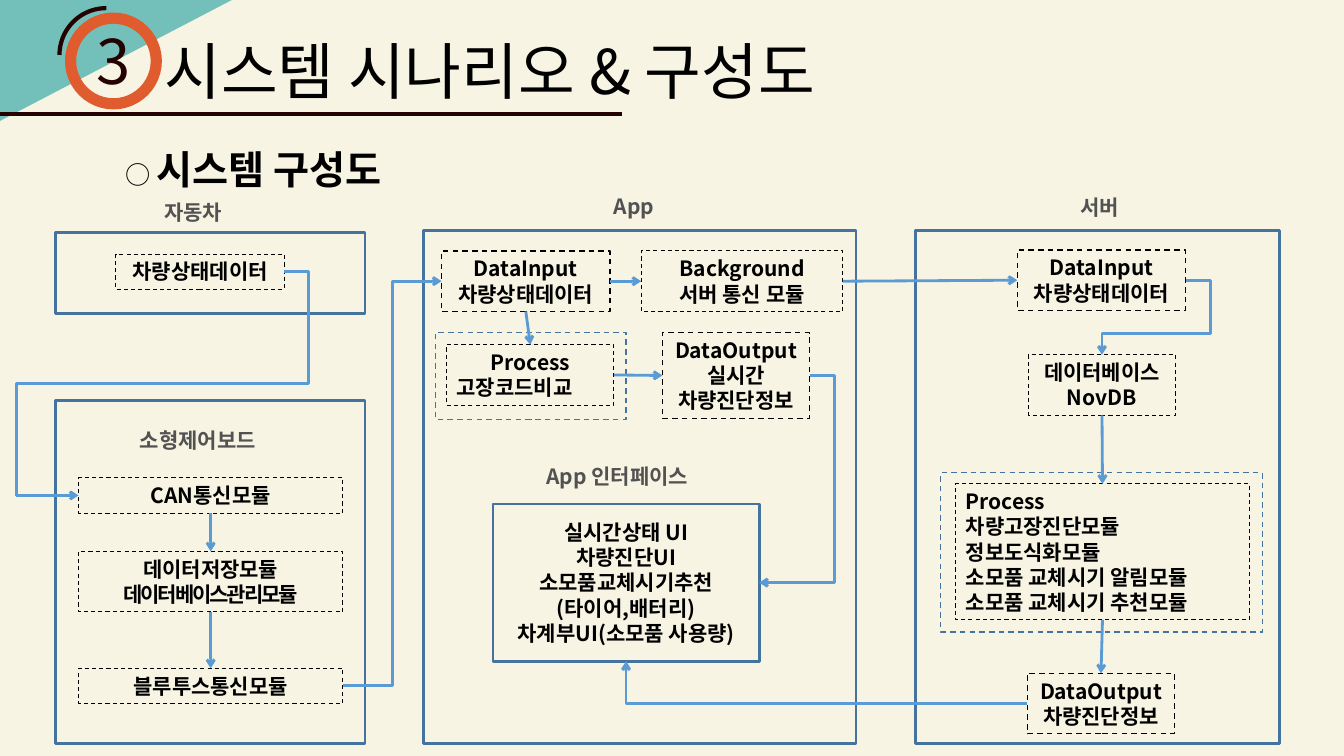
from lxml import etree
from pptx import Presentation
from pptx.dml.color import RGBColor
from pptx.enum.dml import MSO_LINE
from pptx.enum.shapes import MSO_CONNECTOR, MSO_SHAPE
from pptx.enum.text import MSO_ANCHOR, MSO_AUTO_SIZE, PP_ALIGN
from pptx.oxml.ns import qn
from pptx.util import Inches, Pt

FONT = "Noto Sans CJK KR"
COLORS = {
    "cream": "F7F4E3", "teal": "73C0BA", "orange": "E05B2E", "dark": "240202",
    "black": "000000", "gray": "525252", "frame": "43739E", "arrow": "5B9BD5",
}
TOP, LEFT, BOTTOM, RIGHT = range(4)  # connection sites of a rectangle


def color(name):
    return RGBColor.from_string(COLORS[name])


def format_span(span, size, ink, bold):
    span.font.size = Pt(size)
    span.font.bold = bold
    span.font.name = FONT
    span.font.color.rgb = color(ink)
    etree.SubElement(span.font._element, qn("a:ea"), typeface=FONT)


def write(shape, lines, size=15, ink="black", bold=True, align=PP_ALIGN.CENTER,
          anchor=MSO_ANCHOR.TOP, wrap=True):
    frame = shape.text_frame
    frame.text = "\n".join(lines)
    frame.word_wrap = wrap
    frame.auto_size = MSO_AUTO_SIZE.NONE
    frame.vertical_anchor = anchor
    for para in frame.paragraphs:
        para.alignment = align
        for span in para.runs:
            format_span(span, size, ink, bold)


def add_outline(page, kind, left, top, width, height, ink, weight):
    shape = page.shapes.add_shape(
        kind, Inches(left), Inches(top), Inches(width), Inches(height))
    shape.shadow.inherit = False
    shape.fill.background()
    shape.line.color.rgb = color(ink)
    shape.line.width = Pt(weight)
    return shape


def add_frame(page, left, top, width, height):
    return add_outline(page, MSO_SHAPE.RECTANGLE, left, top, width, height, "frame", 2)


def add_dashed_frame(page, left, top, width, height):
    frame = add_outline(page, MSO_SHAPE.RECTANGLE, left, top, width, height, "frame", 1)
    frame.line.dash_style = MSO_LINE.DASH


def add_module(page, left, top, width, *lines, weight=0.75, align=PP_ALIGN.CENTER, wrap=True):
    """Dashed box whose height follows from its number of lines."""
    height = 0.1 + 0.25 * len(lines)
    box = add_outline(page, MSO_SHAPE.RECTANGLE, left, top, width, height, "black", weight)
    box.line.dash_style = MSO_LINE.DASH
    write(box, lines, align=align, wrap=wrap)
    return box


def add_text(page, left, top, width, height, text, **style):
    box = page.shapes.add_textbox(Inches(left), Inches(top), Inches(width), Inches(height))
    write(box, [text], **style)
    return box


def add_line(page, kind, ink, weight, start=(0, 0), end=(0, 0)):
    line = page.shapes.add_connector(kind, *map(Inches, start + end))
    line.line.color.rgb = color(ink)
    line.line.width = Pt(weight)
    etree.SubElement(line._element.spPr, qn("a:effectLst"))
    return line


def link(page, source, source_site, target, target_site, bends=None, adjust=()):
    """Arrow between two boxes; bends is the number of the bent connector preset."""
    kind = MSO_CONNECTOR.ELBOW if bends else MSO_CONNECTOR.STRAIGHT
    arrow = add_line(page, kind, "arrow", 2)
    arrow.begin_connect(source, source_site)
    arrow.end_connect(target, target_site)
    properties = arrow._element.spPr
    etree.SubElement(properties.find(qn("a:ln")), qn("a:tailEnd"), type="arrow")
    if bends:
        geometry = properties.find(qn("a:prstGeom"))
        geometry.set("prst", f"bentConnector{bends}")
        guides = geometry.find(qn("a:avLst"))
        for number, share in enumerate(adjust, 1):
            etree.SubElement(guides, qn("a:gd"), name=f"adj{number}",
                             fmla=f"val {round(share * 100000)}")


def add_header(page):
    # Turned a quarter, the right angle sits in the slide's top left corner
    corner = page.shapes.add_shape(
        MSO_SHAPE.RIGHT_TRIANGLE, Inches(0.55), Inches(-0.55), Inches(1.2), Inches(2.3))
    corner.rotation = 90
    corner.shadow.inherit = False
    corner.fill.solid()
    corner.fill.fore_color.rgb = color("teal")
    corner.line.fill.background()

    title = page.shapes.title
    title.left, title.top = Inches(1.53), Inches(0.28)
    title.width, title.height = Inches(9.96), Inches(0.84)
    write(title, ["시스템 시나리오 & 구성도"], size=44, bold=False, align=PP_ALIGN.LEFT)

    add_line(page, MSO_CONNECTOR.STRAIGHT, "dark", 3, (0, 1.13), (6.17, 1.13))
    add_outline(page, MSO_SHAPE.OVAL, 0.7, 0.18, 0.85, 0.85, "orange", 8)
    arc = add_outline(page, MSO_SHAPE.ARC, 0.59, 0.08, 0.93, 0.93, "dark", 3)
    arc.rotation = 270
    add_text(page, 0.72, 0.18, 0.81, 0.84, "3", size=44, ink="dark", bold=False)

    subtitle = add_text(page, 1.15, 1.39, 10.85, 0.57, "○ ",
                        size=18, bold=False, align=PP_ALIGN.LEFT)
    span = subtitle.text_frame.paragraphs[0].add_run()
    span.text = "시스템 구성도"
    format_span(span, 28, "black", True)


def add_labels(page):
    for left, top, width, text in (
        (1.53, 1.93, 0.83, "자동차"),
        (1.29, 4.19, 1.46, "소형제어보드"),
        (5.99, 1.87, 0.61, "App"),
        (5.32, 4.55, 1.74, "App 인터페이스"),
        (10.62, 1.88, 0.62, "서버"),
    ):
        add_text(page, left, top, width, 0.35, text, ink="gray",
                 align=PP_ALIGN.LEFT, wrap=False)


def add_diagram(page):
    for place in ((0.55, 2.31, 3.07, 0.8), (0.55, 3.97, 3.07, 3.41),
                  (4.2, 2.29, 4.29, 5.09), (9.08, 2.29, 3.61, 5.09)):
        add_frame(page, *place)
    add_labels(page)

    car = add_module(page, 1.15, 2.52, 1.67, "차량상태데이터", wrap=False)

    can = add_module(page, 0.78, 4.74, 2.62, "CAN통신모듈")
    storage = add_module(page, 0.78, 5.47, 2.62, "데이터저장모듈", "데이터베이스관리모듈")
    tight_span = storage.text_frame.paragraphs[1].runs[0]
    tight_span.font._element.set("spc", "-150")
    bluetooth = add_module(page, 0.78, 6.63, 2.62, "블루투스통신모듈")

    app_input = add_module(page, 4.38, 2.49, 1.67, "DataInput", "차량상태데이터",
                           weight=1, wrap=False)
    background = add_module(page, 6.36, 2.49, 2, "Background", "서버 통신 모듈")
    compare = add_module(page, 4.43, 3.42, 1.66, "Process", "고장코드비교")
    compare.text_frame.paragraphs[1].alignment = PP_ALIGN.LEFT
    app_output = add_module(page, 6.57, 3.3, 1.46, "DataOutput", "실시간", "차량진단정보",
                            weight=1, wrap=False)
    interface = add_frame(page, 4.89, 5, 2.64, 1.56)
    write(interface, ["실시간상태 UI", "차량진단UI", "소모품교체시기추천", "(타이어,배터리)",
                      "차계부UI(소모품 사용량)"], anchor=MSO_ANCHOR.MIDDLE)

    server_input = add_module(page, 10.09, 2.48, 1.67, "DataInput", "차량상태데이터",
                              weight=1, wrap=False)
    database = add_module(page, 10.2, 3.52, 1.46, "데이터베이스", "NovDB", wrap=False)
    diagnosis = add_module(page, 9.48, 4.8, 2.91, "Process", "차량고장진단모듈", "정보도식화모듈",
                           "소모품 교체시기 알림모듈", "소모품 교체시기 추천모듈",
                           align=PP_ALIGN.LEFT)
    server_output = add_module(page, 10.19, 6.68, 1.46, "DataOutput", "차량진단정보",
                               weight=1, wrap=False)

    add_dashed_frame(page, 4.32, 3.3, 1.89, 0.86)
    add_dashed_frame(page, 9.33, 4.69, 3.19, 1.58)

    for upper, lower in ((can, storage), (storage, bluetooth), (app_input, compare),
                         (database, diagnosis), (diagnosis, server_output)):
        link(page, upper, BOTTOM, lower, TOP)
    for before, after in ((app_input, background), (background, server_input),
                          (compare, app_output)):
        link(page, before, RIGHT, after, LEFT)
    link(page, car, RIGHT, can, LEFT, 5, (-0.12, 0.5, 1.3))
    link(page, bluetooth, RIGHT, app_input, LEFT, 3, (0.5,))
    link(page, app_output, RIGHT, interface, RIGHT, 3, (-0.49,))
    link(page, server_input, RIGHT, database, TOP, 4, (-0.3, 0.71))
    link(page, server_output, LEFT, interface, BOTTOM, 2)


def main():
    deck = Presentation()
    deck.slide_width, deck.slide_height = Inches(13.33), Inches(7.5)
    page = deck.slides.add_slide(deck.slide_layouts[5])
    page.background.fill.solid()
    page.background.fill.fore_color.rgb = color("cream")
    add_header(page)
    add_diagram(page)
    deck.save("out.pptx")


if __name__ == "__main__":
    main()
